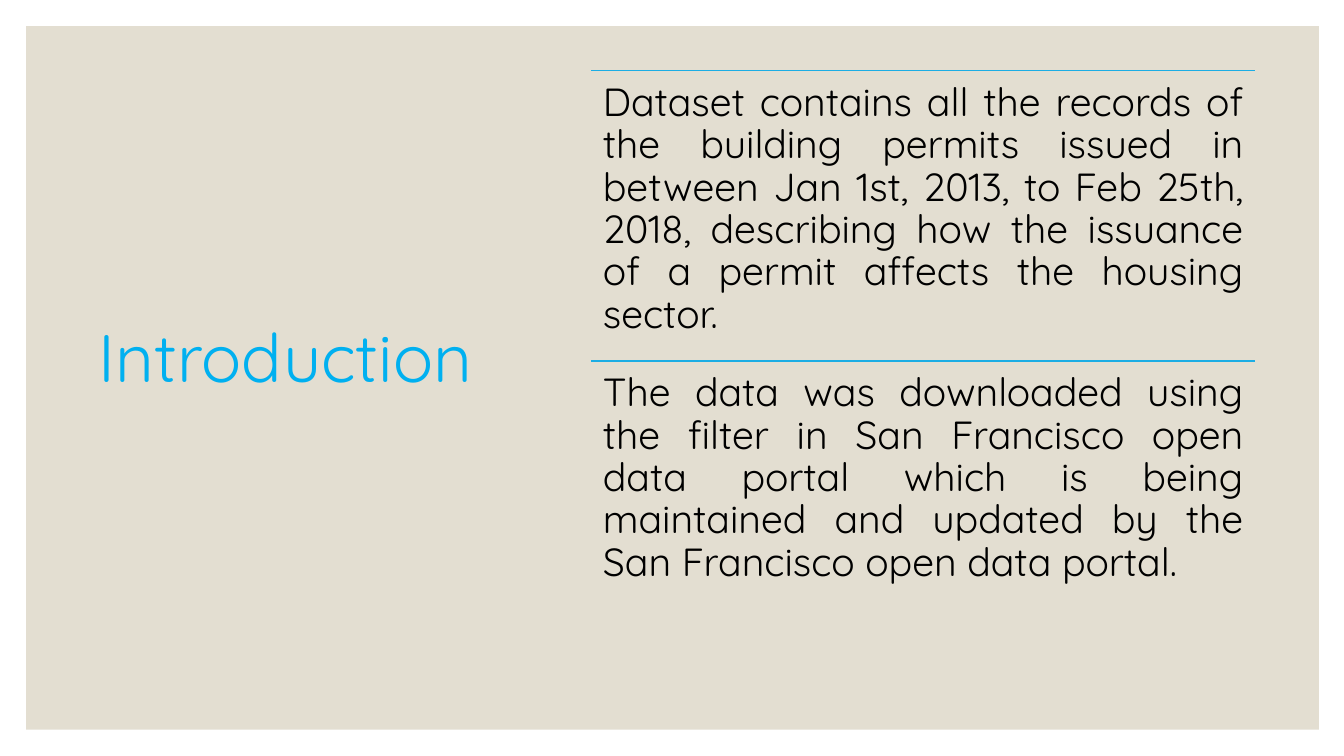
from lxml import etree
from pptx import Presentation
from pptx.dml.color import RGBColor
from pptx.enum.shapes import MSO_CONNECTOR, MSO_SHAPE
from pptx.enum.text import MSO_ANCHOR, MSO_AUTO_SIZE, PP_ALIGN
from pptx.oxml.ns import qn
from pptx.util import Pt

PX = 9144
RECT = MSO_SHAPE.RECTANGLE
LINE = MSO_CONNECTOR.STRAIGHT
LEFT, JUST = PP_ALIGN.LEFT, PP_ALIGN.JUSTIFY
TOP, MID = MSO_ANCHOR.TOP, MSO_ANCHOR.MIDDLE
NOFIT = MSO_AUTO_SIZE.NONE

SAND, SKY, RULE, INK = "E3DED1", "00B0F0", "1CADE4", "000000"
FACTS = [
    "Dataset contains all the records of the building permits issued in between "
    "Jan 1st, 2013, to Feb 25th, 2018, describing how the issuance of a permit "
    "affects the housing sector.",
    "The data was downloaded using the filter in San Francisco open data portal "
    "which is being maintained and updated by the San Francisco open data portal.",
]


def color(code):
    return RGBColor.from_string(code)


def assign(target, values):
    for name, value in values.items():
        setattr(target, name, value)


class Deck:
    font = "Quicksand"

    def __init__(self, width, height):
        self.file = Presentation()
        assign(self.file, {"slide_width": width * PX, "slide_height": height * PX})
        self.slide = self.file.slides.add_slide(self.file.slide_layouts[5])
        self.shapes = self.slide.shapes

    def panel(self, *box, fill):
        shape = self.shapes.add_shape(RECT, *[n * PX for n in box])
        shape.shadow.inherit = False
        shape.fill.solid()
        shape.fill.fore_color.rgb = color(fill)
        shape.line.fill.background()
        self.shapes.title._element.addprevious(shape._element)

    def rule(self, left, top, width, tint):
        line = self.shapes.add_connector(
            LINE, left * PX, top * PX, (left + width) * PX, top * PX)
        line.line.color.rgb = color(tint)
        line.line.width = Pt(1)
        etree.SubElement(line._element.spPr, qn("a:effectLst"))

    def fill(self, shape, text, size, tint, frame, para):
        body = shape.text_frame
        body.text = text
        assign(body, {"word_wrap": True, "auto_size": NOFIT, **frame})
        first = body.paragraphs[0]
        assign(first, {"line_spacing": 0.9, **para})
        font = first.runs[0].font
        assign(font, {"name": self.font, "size": Pt(size)})
        font.color.rgb = color(tint)

    def title(self, left, top, width, height, text):
        shape = self.shapes.title
        assign(shape, {"left": left * PX, "top": top * PX,
                       "width": width * PX, "height": height * PX})
        self.fill(shape, text, 48, SKY, {"vertical_anchor": MID}, {"alignment": LEFT})

    def text(self, *box, text):
        shape = self.shapes.add_textbox(*[n * PX for n in box])
        sides = ("left", "top", "right", "bottom")
        frame = {f"margin_{side}": 12 * PX for side in sides}
        self.fill(shape, text, 28, INK, {"vertical_anchor": TOP, **frame},
                  {"alignment": JUST})

    def save(self):
        self.file.save("out.pptx")


def main():
    deck = Deck(1333, 750)
    deck.panel(26, 26, 1282, 698, fill=SAND)
    deck.title(88, 70, 462, 575, "Introduction")
    left, width, step = 586, 659, 288
    for row, fact in enumerate(FACTS):
        top = 70 + row * step
        deck.rule(left, top, width, RULE)
        deck.text(left, top, width, step - 1, text=fact)
    deck.save()


if __name__ == "__main__":
    main()
